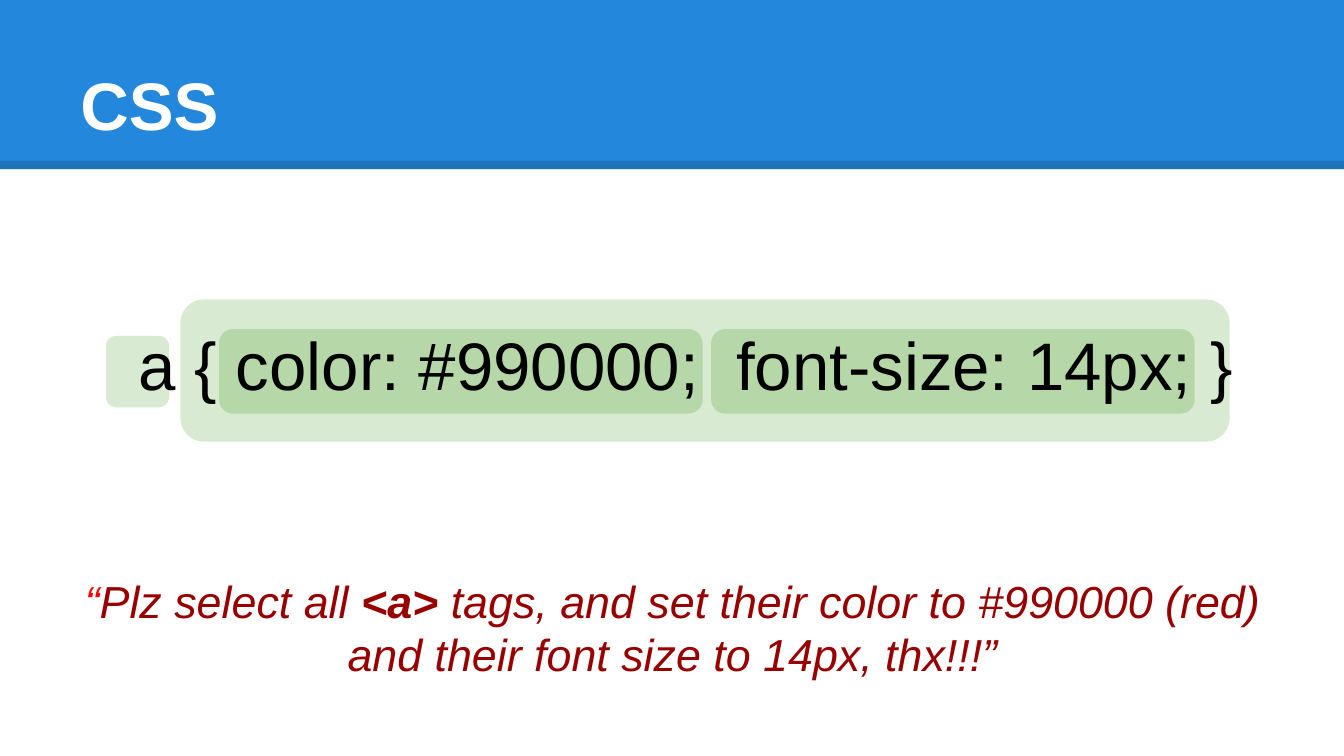
import pptx
import pptx.util
import pptx.dml.color
import pptx.enum.shapes
import pptx.enum.text
import pptx.oxml
import pptx.oxml.ns

Cm = pptx.util.Cm
Pt = pptx.util.Pt
Align = pptx.enum.text.PP_ALIGN
Anchor = pptx.enum.text.MSO_ANCHOR
Kind = pptx.enum.shapes.MSO_SHAPE

HUES = {
    "blue": "2388DB",
    "pale": "D9EAD3",
    "green": "B6D7A8",
    "black": "000000",
    "white": "FFFFFF",
    "red": "FF0000",
    "dark": "980000",
}
WIDE, HIGH = 25.4, 14.29


def hue(name):
    return pptx.dml.color.RGBColor.from_string(HUES[name])


def apply(target, values):
    for name, value in values.items():
        setattr(target, name, value)


class Board:
    font = "Arial"
    inset = 0.25
    round = 0.167

    def __init__(self, slide):
        self.slide = slide

    def box(self, left, top, wide, high, fill, kind=Kind.ROUNDED_RECTANGLE):
        shape = self.slide.shapes.add_shape(kind, Cm(left), Cm(top), Cm(wide), Cm(high))
        shape.shadow.inherit = False
        shape.fill.solid()
        shape.fill.fore_color.rgb = hue(fill)
        shape.line.fill.background()
        if kind == Kind.ROUNDED_RECTANGLE:
            shape.adjustments[0] = self.round

    def rule(self, top, width, color, alpha):
        line = self.slide.shapes.add_connector(
            pptx.enum.shapes.MSO_CONNECTOR.STRAIGHT, 0, Cm(top), Cm(WIDE), Cm(top))
        line.line.width = Pt(width)
        line.line.color.rgb = hue(color)
        props = line._element.spPr
        tint = props.find(".//" + pptx.oxml.ns.qn("a:srgbClr"))
        pptx.oxml.ns.qn("a:alpha")
        tint.append(self.node("alpha", f'val="{alpha * 1000}"'))
        props.append(self.node("effectLst"))

    def node(self, tag, attrs=""):
        return pptx.oxml.parse_xml(f'<a:{tag} {pptx.oxml.ns.nsdecls("a")} {attrs}/>')

    def text(self, left, top, wide, high, runs, size, anchor, **form):
        area = self.slide.shapes.add_textbox(Cm(left), Cm(top), Cm(wide), Cm(high))
        frame = area.text_frame
        apply(frame, {"word_wrap": True, "vertical_anchor": anchor})
        for side in ("left", "top", "right", "bottom"):
            setattr(frame, "margin_" + side, Cm(self.inset))
        para = frame.paragraphs[0]
        apply(para, form)
        for words, color, style in runs:
            run = para.add_run()
            run.text = words
            apply(run.font, {"name": self.font, "size": Pt(size), **style})
            run.font.color.rgb = hue(color)
        return para


def main():
    deck = pptx.Presentation()
    apply(deck, {"slide_width": Cm(WIDE), "slide_height": Cm(HIGH)})
    board = Board(deck.slides.add_slide(deck.slide_layouts[6]))

    board.box(0, 0, WIDE, 3.2, "blue", Kind.RECTANGLE)
    board.rule(3.12, 4.5, "black", 15)

    board.box(3.41, 5.66, 19.83, 2.69, "pale")
    for left in (4.14, 13.44):
        board.box(left, 6.22, 9.14, 1.6, "green")
    board.box(2, 6.35, 1.2, 1.35, "pale")

    code = board.text(
        1.27, 1.7, 22.86, 10.34,
        [("a { color: #990000;  font-size: 14px; }", "black", {})],
        36, Anchor.MIDDLE, alignment=Align.CENTER, space_before=Pt(6))
    props = code._p.get_or_add_pPr()
    for name, value in {"marL": Cm(0.97), "indent": Cm(-0.43)}.items():
        props.set(name, str(int(value)))

    board.text(1.27, 0.58, 22.86, 2.39, [("CSS", "white", {"bold": True})],
               36, Anchor.BOTTOM)

    slant = {"italic": True}
    board.text(
        0.86, 10.59, 23.7, 3.05,
        [("“", "red", slant),
         ("Plz select all ", "dark", slant),
         ("<a>", "dark", {"italic": True, "bold": True}),
         (" tags, and set their color to #990000 (red) and their font size to 14px, thx!!!”",
          "dark", slant)],
        24, Anchor.TOP, alignment=Align.CENTER)

    deck.save("out.pptx")


if __name__ == "__main__":
    main()
